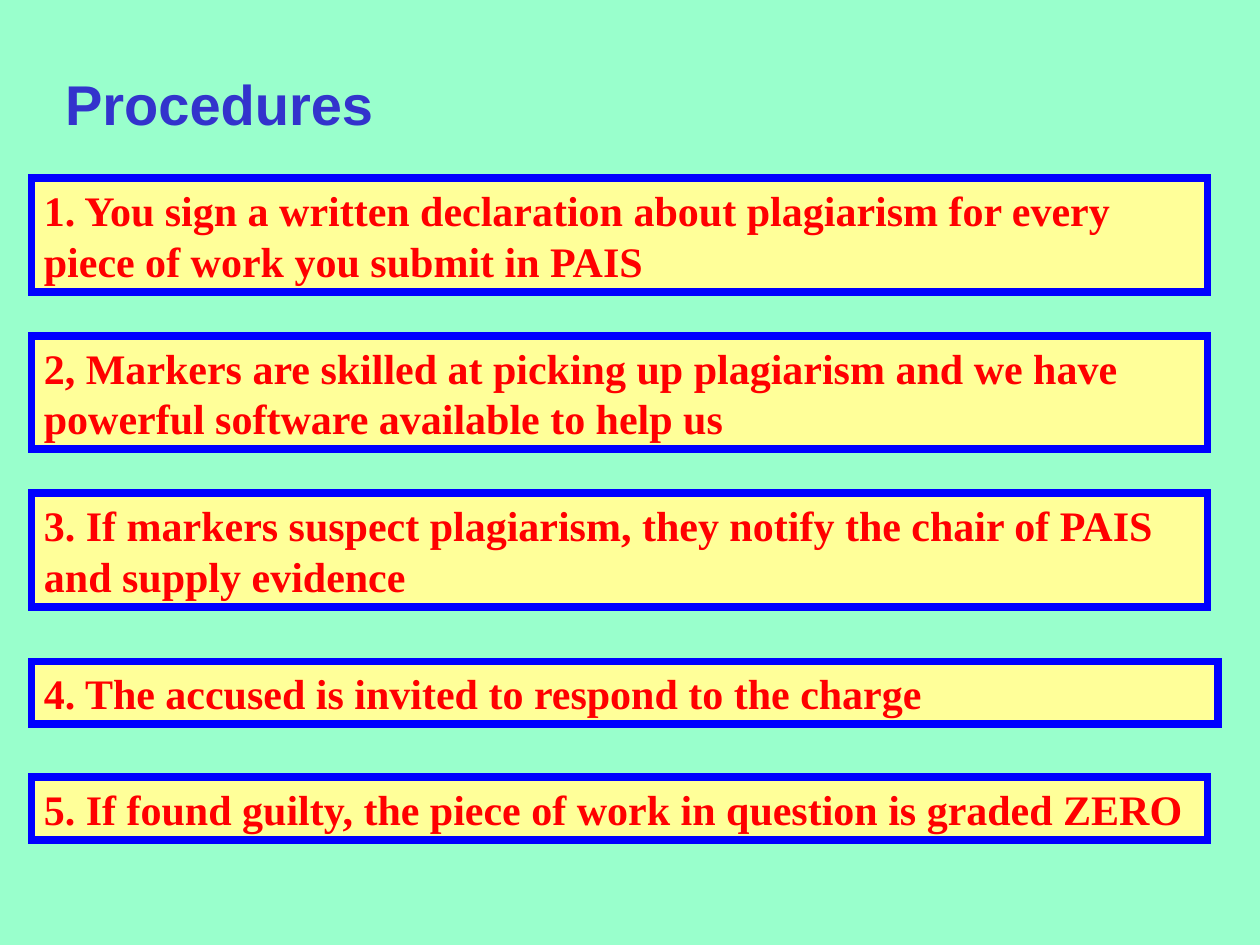
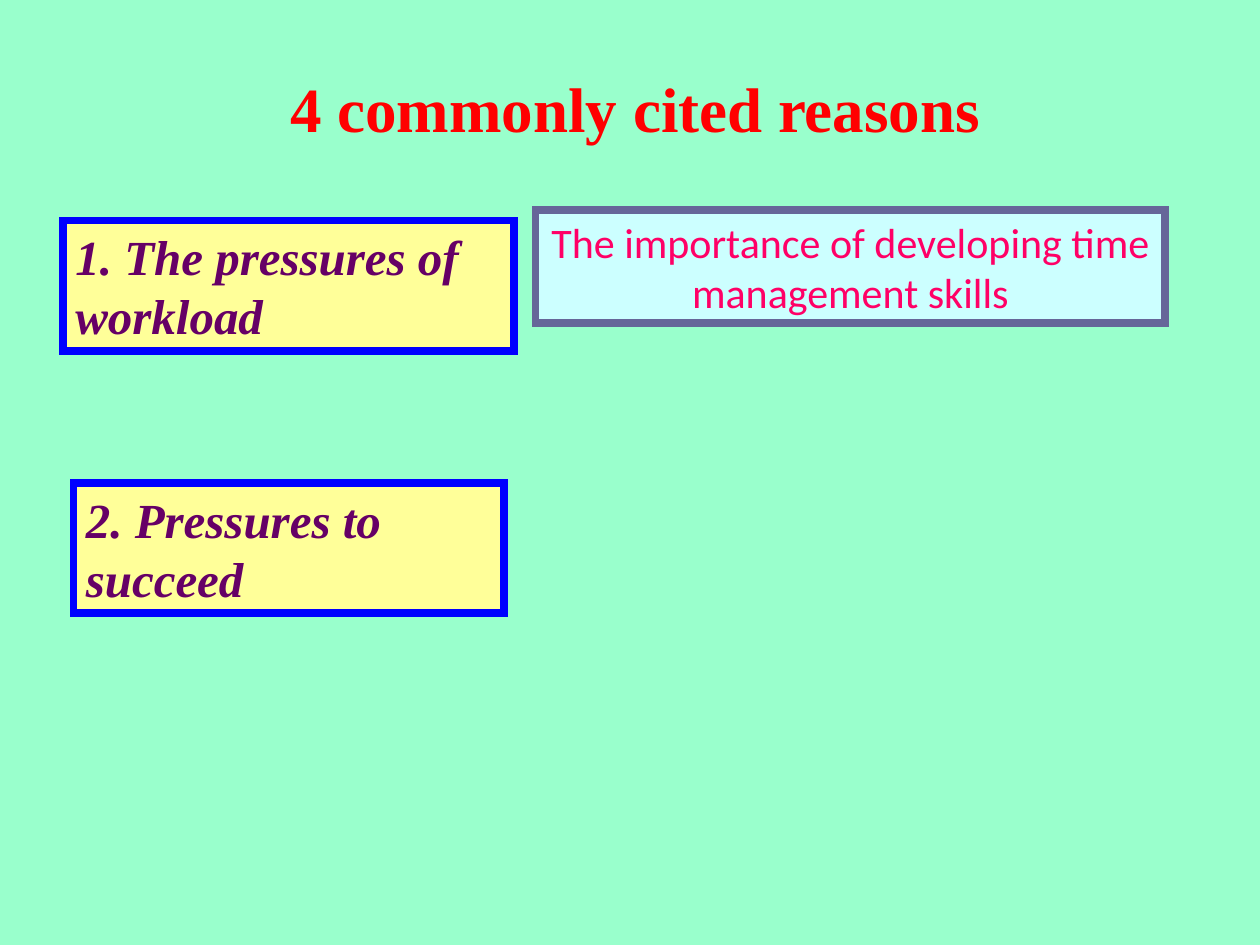
from dataclasses import dataclass

from lxml import etree
from pptx import Presentation
from pptx import util as u
from pptx.dml.color import RGBColor
from pptx.enum import shapes, text
from pptx.oxml.ns import qn


@dataclass(frozen=True)
class Style:
    """Look of one kind of text, with the box around it if there is one."""
    font: str
    size: int
    color: str
    bold: bool = True
    italic: bool = False
    align: text.PP_ALIGN = text.PP_ALIGN.LEFT
    fill: str = ""
    border: str = ""


class Theme:
    background = "99FFCC"
    border_width = 4.5
    line_height = 1.2
    inset_x, inset_y = 0.1, 0.05
    procedure_title = Style("Arial", 32, "3333CC")
    reason_title = Style("Times New Roman", 36, "FF0000", align=text.PP_ALIGN.CENTER)
    procedure = Style("Times New Roman", 24, "FF0000", fill="FFFF99", border="0000FF")
    reason = Style("Times New Roman", 28, "660066", italic=True,
                   fill="FFFF99", border="0000FF")
    advice = Style("Calibri", 24, "FF0066", bold=False, align=text.PP_ALIGN.CENTER,
                   fill="CCFFFF", border="666699")


# Content: places are left, top and width in grid steps of 1/12 inch
GRID = u.Inches(1 / 12)

# Each box: wording, style, place, number of text lines
SLIDES = [
    {
        "title": ("Procedures", Theme.procedure_title, (5, 6, 107)),
        "boxes": [
            ("1. You sign a written declaration about plagiarism for every piece of work "
             "you submit in PAIS", Theme.procedure, (3, 17, 112), 2),
            ("2, Markers are skilled at picking up plagiarism and we have powerful "
             "software available to help us", Theme.procedure, (3, 32, 112), 2),
            ("3. If markers suspect plagiarism, they notify the chair of PAIS and supply "
             "evidence", Theme.procedure, (3, 47, 112), 2),
            ("4. The accused is invited to respond to the charge",
             Theme.procedure, (3, 63, 113), 1),
            ("5. If found guilty, the piece of work in question is graded ZERO",
             Theme.procedure, (3, 74, 112), 1),
        ],
    },
    {
        "title": ("4 commonly cited reasons", Theme.reason_title, (12, 6, 97)),
        "boxes": [
            ("1. The pressures of workload", Theme.reason, (6, 21, 43), 2),
            ("The importance of developing time management skills",
             Theme.advice, (51, 20, 60), 2),
            ("2. Pressures to succeed", Theme.reason, (7, 46, 41), 2),
        ],
    },
]


def box_area(place, style, lines):
    """Left, top, width and the height that the text lines need."""
    left, top, width = (step * GRID for step in place)
    height = u.Pt(lines * style.size * Theme.line_height) + 2 * u.Inches(Theme.inset_y)
    return left, top, width, height


def write_text(shape, wording, style):
    frame = shape.text_frame
    frame.text = wording
    frame.word_wrap = True
    frame.auto_size = text.MSO_AUTO_SIZE.NONE
    frame.vertical_anchor = text.MSO_ANCHOR.TOP
    frame.margin_left = frame.margin_right = u.Inches(Theme.inset_x)
    frame.margin_top = frame.margin_bottom = u.Inches(Theme.inset_y)
    paragraph = frame.paragraphs[0]
    paragraph.alignment = style.align
    font = paragraph.font
    font.name, font.size = style.font, u.Pt(style.size)
    font.bold, font.italic = style.bold, style.italic
    font.color.rgb = RGBColor.from_string(style.color)


def set_title(slide, wording, style, place):
    title = slide.shapes.title
    title.left, title.top, title.width, title.height = box_area(place, style, 1)
    write_text(title, wording, style)


def add_box(slide, wording, style, place, lines):
    box = slide.shapes.add_shape(shapes.MSO_SHAPE.RECTANGLE, *box_area(place, style, lines))
    box.shadow.inherit = False
    box.fill.solid()
    box.fill.fore_color.rgb = RGBColor.from_string(style.fill)
    box.line.color.rgb = RGBColor.from_string(style.border)
    box.line.width = u.Pt(Theme.border_width)
    # Square border corners
    outline = box.element.spPr.find(qn("a:ln"))
    etree.SubElement(outline, qn("a:miter"), lim="800000")
    write_text(box, wording, style)


def main():
    presentation = Presentation()
    presentation.slide_width, presentation.slide_height = u.Inches(10), u.Inches(7.5)

    # Shared background
    background = presentation.slide_master.background.fill
    background.solid()
    background.fore_color.rgb = RGBColor.from_string(Theme.background)

    # Slides
    title_only = presentation.slide_layouts.get_by_name("Title Only")
    for content in SLIDES:
        slide = presentation.slides.add_slide(title_only)
        set_title(slide, *content["title"])
        for box in content["boxes"]:
            add_box(slide, *box)

    presentation.save("out.pptx")


if __name__ == "__main__":
    main()
